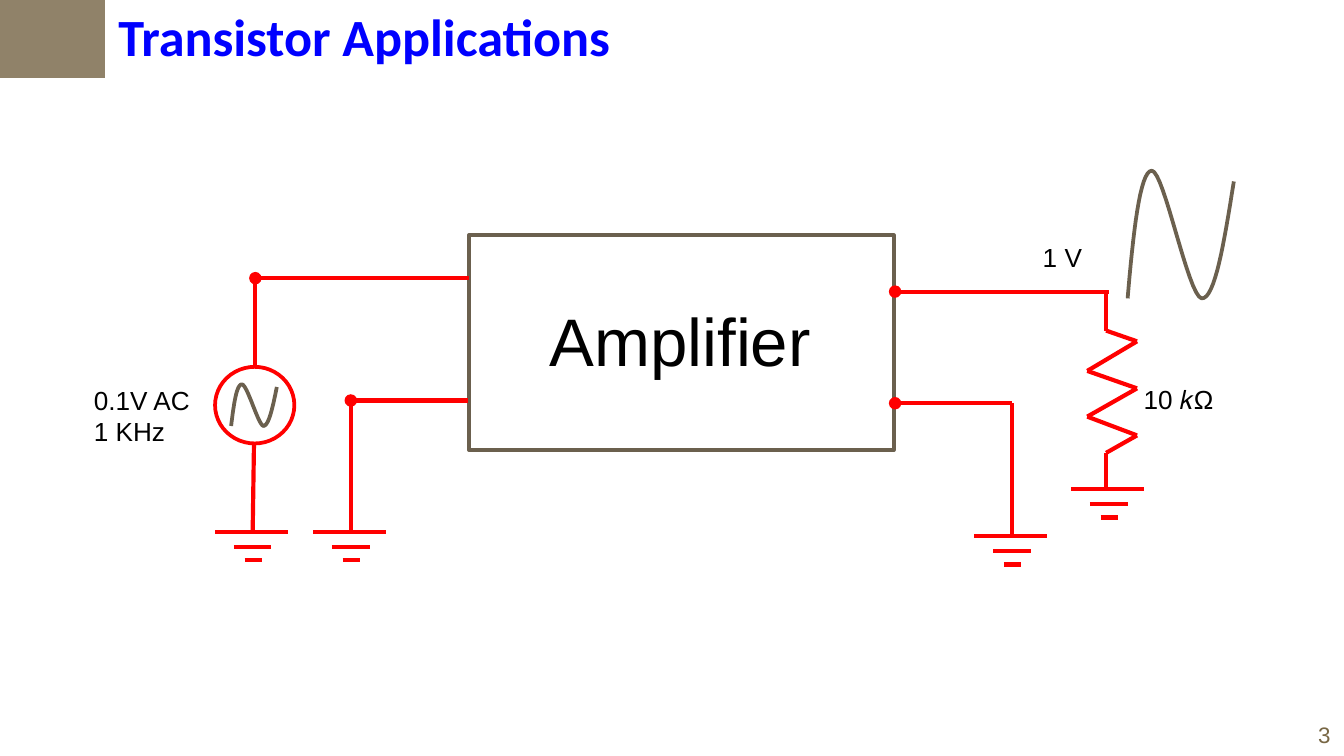
from itertools import pairwise

from pptx import Presentation
from pptx.dml.color import RGBColor
from pptx.enum.shapes import MSO_CONNECTOR, MSO_SHAPE
from pptx.enum.text import MSO_ANCHOR, MSO_AUTO_SIZE, PP_ALIGN
from pptx.oxml.ns import qn
from pptx.util import Pt
from lxml.etree import SubElement

PX = 9144  # EMU per px, 100 px to the inch
RED, BROWN, BLACK = "FF0000", "6B604E", "000000"


def px(*vals):
    return [round(v * PX) for v in vals]


def color(code):
    return RGBColor.from_string(code)


def stroke(line, code, width):
    line.color.rgb = color(code)
    line.width = Pt(width)


def wire(slide, start, end, dot=False):
    """Draw a red line, with a round dot at its start if asked."""
    line = slide.shapes.add_connector(MSO_CONNECTOR.STRAIGHT, *px(*start, *end))
    stroke(line.line, RED, 2.25)
    props = line._element.spPr
    if dot:
        SubElement(props.find(qn("a:ln")), qn("a:headEnd"), type="oval")
    SubElement(props, qn("a:effectLst"))


def ground(slide, mid, top):
    for left, right, drop in ((-27, 27, 0), (-13, 15, 11), (-5, 8, 21)):
        wire(slide, (mid + left, top + drop), (mid + right, top + drop))


def resistor(slide):
    points = [(823, 219), (823, 246), (846, 254), (809, 276), (846, 289),
              (809, 310), (846, 324), (823, 337), (823, 364)]
    for start, end in pairwise(points):
        wire(slide, start, end)


def shape(slide, kind, box, fill=None, line=None):
    item = slide.shapes.add_shape(kind, *px(*box))
    item.shadow.inherit = False
    if fill:
        item.fill.solid()
        item.fill.fore_color.rgb = color(fill)
    else:
        item.fill.background()
    if line:
        stroke(item.line, line, 2)
    else:
        item.line.fill.background()


def wave(slide, knots, steps=16):
    """Trace a chain of cubic curves: a start, then three points per curve."""
    points = []
    for i in range(0, len(knots) - 1, 3):
        a, b, c, d = knots[i:i + 4]
        for n in range(1, steps + 1):
            t = n / steps
            u = 1 - t
            points.append(px(*(
                u**3 * p + 3 * u * u * t * q + 3 * u * t * t * r + t**3 * s
                for p, q, r, s in zip(a, b, c, d))))
    trace = slide.shapes.build_freeform(*px(*knots[0]))
    trace.add_line_segments(points, close=False)
    curve = trace.convert_to_shape()
    curve.shadow.inherit = False
    curve.fill.background()
    stroke(curve.line, BROWN, 2)


def write(item, lines, size, font="Arial", code=BLACK, bold=False, wrap=False):
    frame = item.text_frame
    frame.word_wrap = wrap
    frame.auto_size = MSO_AUTO_SIZE.NONE
    for i, words in enumerate(lines):
        para = frame.add_paragraph() if i else frame.paragraphs[0]
        para.alignment = PP_ALIGN.LEFT
        run = para.add_run()
        run.text = words
        run.font.size, run.font.name, run.font.bold = Pt(size), font, bold
        run.font.color.rgb = color(code)


def label(slide, box, *lines, size=14, **style):
    write(slide.shapes.add_textbox(*px(*box)), lines, size, **style)


def title(slide, words):
    item = slide.shapes.title
    item.left, item.top, item.width, item.height = px(78, -2, 461, 57)
    write(item, [words], 28, "Calibri", "0000FF", bold=True)
    item.text_frame.vertical_anchor = MSO_ANCHOR.TOP


def source(slide):
    wire(slide, (190, 207), (349, 207), dot=True)
    shape(slide, MSO_SHAPE.OVAL, (160, 273, 59, 57), line=RED)
    wire(slide, (190, 206), (190, 273))
    wire(slide, (189, 330), (188, 396))
    wave(slide, [(172, 317), (174, 301), (176, 286), (180, 286), (184, 286),
                 (192, 316), (196, 317), (200, 317), (203, 303), (206, 288)])
    ground(slide, 187, 396)
    wire(slide, (261, 298), (348, 298), dot=True)
    wire(slide, (261, 298), (261, 396))
    ground(slide, 260, 396)


def load(slide):
    resistor(slide)
    wire(slide, (666, 217), (825, 217), dot=True)
    ground(slide, 824, 364)
    wire(slide, (666, 300), (753, 300), dot=True)
    wire(slide, (753, 300), (753, 399))
    ground(slide, 752, 399)
    wave(slide, [(839, 222), (843, 175), (848, 127), (857, 127), (866, 127),
                 (884, 220), (894, 222), (904, 223), (911, 179), (918, 135)])


def main():
    deck = Presentation()
    deck.slide_width, deck.slide_height = px(1000, 562.5)
    slide = deck.slides.add_slide(deck.slide_layouts[5])
    title(slide, "Transistor Applications")
    label(slide, (971, 532, 29, 30), "3", size=12, code="786745")
    shape(slide, MSO_SHAPE.RECTANGLE, (0, -2, 78, 60), fill="908269")
    shape(slide, MSO_SHAPE.RECTANGLE, (349, 175, 316, 160), line=BROWN)
    source(slide)
    load(slide)
    label(slide, (60, 281, 93, 57), "0.1V AC", "1 KHz")
    label(slide, (841, 280, 79, 34), "10 𝑘Ω", wrap=True)
    label(slide, (766, 175, 79, 34), "1 V", wrap=True)
    label(slide, (399, 218, 217, 71), "Amplifier", size=36)
    deck.save("out.pptx")


if __name__ == "__main__":
    main()
